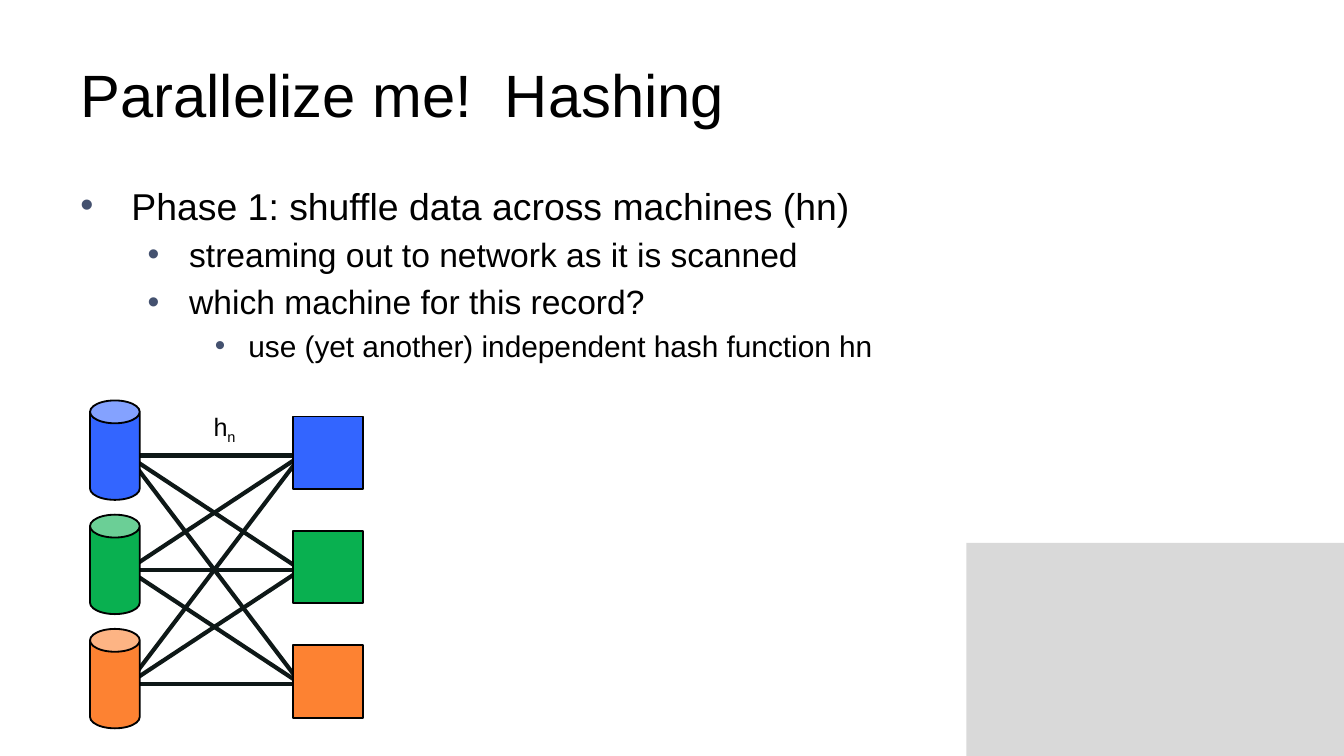
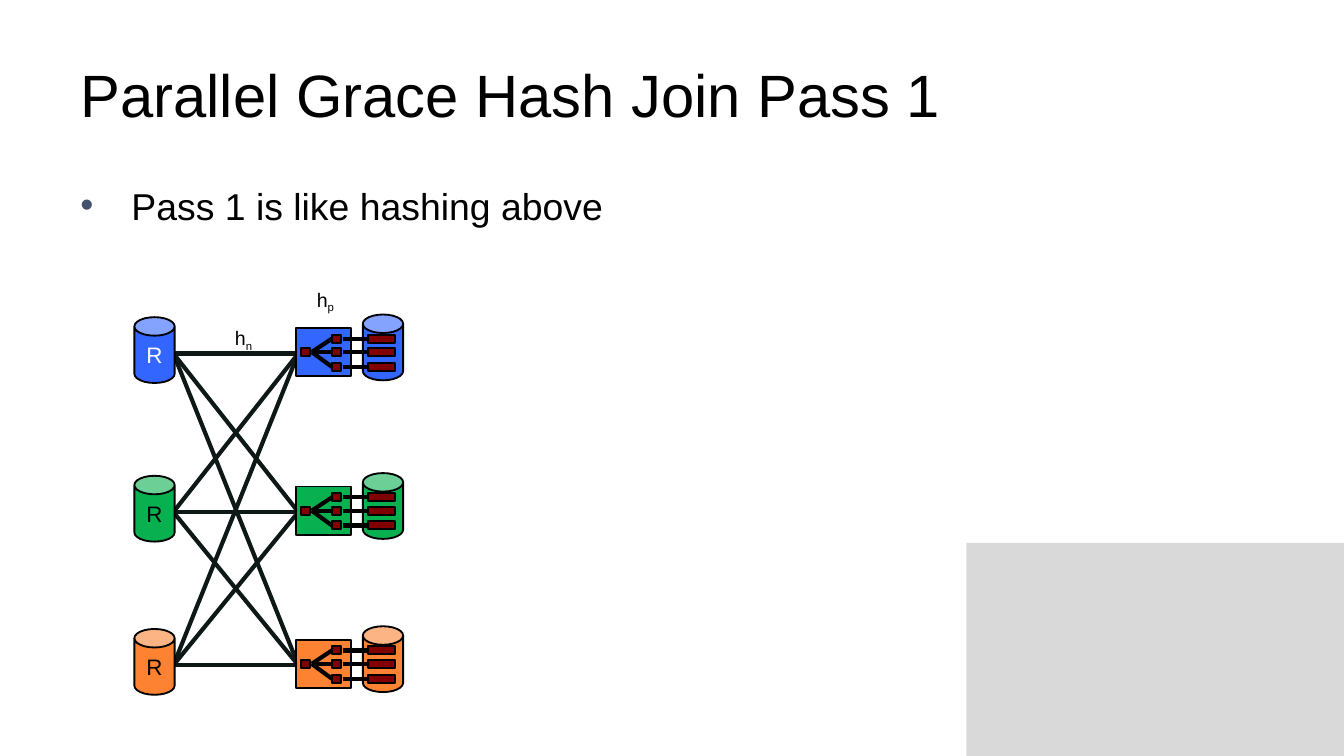
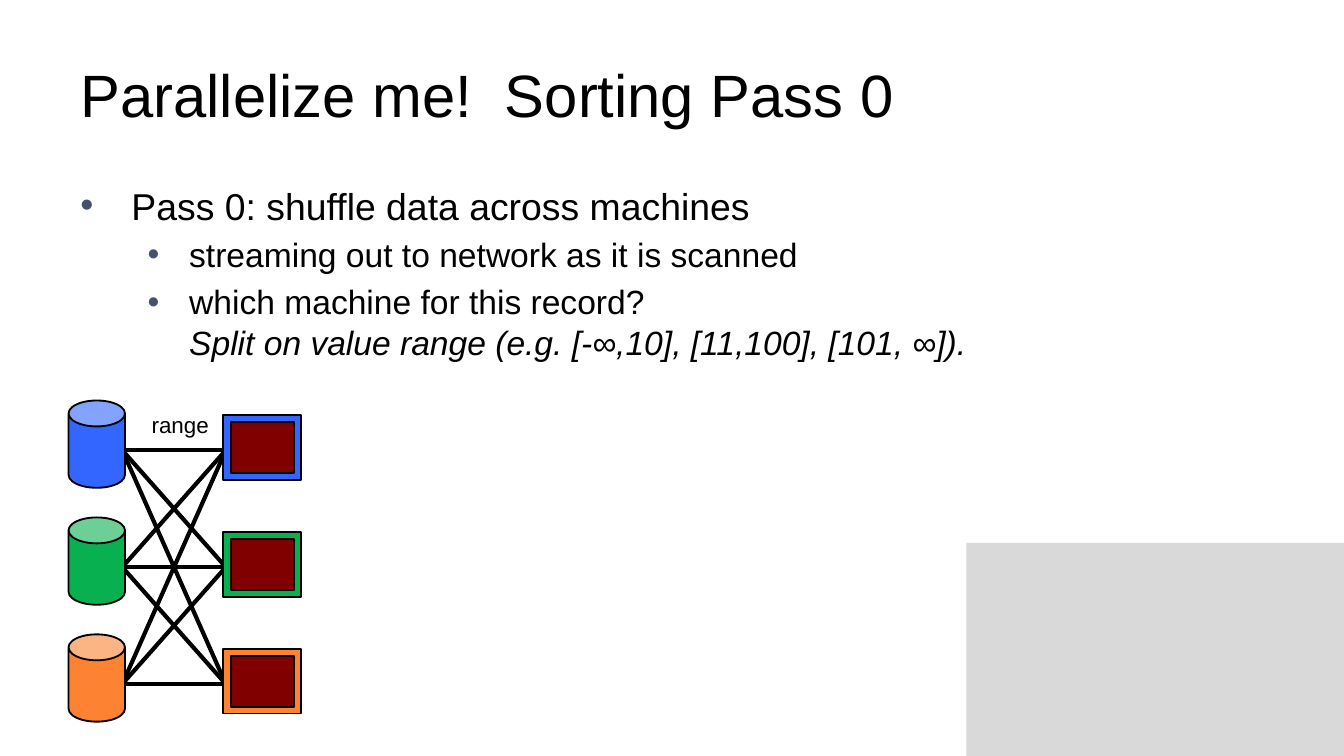
"""Build three slides on parallel hashing, hash join and sorting."""
from itertools import product

from lxml import etree
from pptx import Presentation
from pptx import util as u
from pptx.dml.color import RGBColor
from pptx.enum import shapes, text
from pptx.oxml import ns

BLACK = RGBColor(0x00, 0x00, 0x00)
WHITE = RGBColor(0xFF, 0xFF, 0xFF)
INK = RGBColor(0x0E, 0x18, 0x17)
BAND = RGBColor(0xD9, 0xD9, 0xD9)
BULLET = RGBColor(0x44, 0x51, 0x6F)
BLUE = RGBColor(0x33, 0x65, 0xFF)
GREEN = RGBColor(0x09, 0xB0, 0x50)
ORANGE = RGBColor(0xFD, 0x82, 0x32)
MAROON = RGBColor(0x80, 0x00, 0x00)
MACHINES = (BLUE, GREEN, ORANGE)
FONT = "Arial"
LEVELS = ((20, 0.38, 0.38), (18, 0.81, 0.31), (16, 1.25, 0.25))
RECT = shapes.MSO_SHAPE.RECTANGLE
CAN = shapes.MSO_SHAPE.CAN


def add_run(paragraph, words, size, color=BLACK, italic=None, baseline=None):
    """Append one styled run."""
    run = paragraph.add_run()
    run.text = words
    run.font.name = FONT
    run.font.size = u.Pt(size)
    run.font.color.rgb = color
    run.font.italic = italic
    if baseline:
        run._r.get_or_add_rPr().set("baseline", str(baseline))


def add_block(slide, kind, left, top, width, height, fill, outline=BLACK):
    """Add a flat filled shape, outlined unless outline is None."""
    block = slide.shapes.add_shape(kind, *map(u.Inches, (left, top, width, height)))
    block.shadow.inherit = False
    block.fill.solid()
    block.fill.fore_color.rgb = fill
    if outline is None:
        block.line.fill.background()
    else:
        block.line.color.rgb = outline
        block.line.width = u.Pt(1)
    return block


def add_disk(slide, left, top, width, height, fill, relation="", color=BLACK):
    """Add a storage cylinder, with the relation's name if given."""
    disk = add_block(slide, CAN, left, top, width, height, fill)
    disk.adjustments[0] = 0.46
    if relation:
        frame = disk.text_frame
        frame.word_wrap = False
        frame.vertical_anchor = text.MSO_ANCHOR.MIDDLE
        frame.paragraphs[0].alignment = text.PP_ALIGN.CENTER
        add_run(frame.paragraphs[0], relation, 12, color)


def add_wire(slide, start, end, color=BLACK):
    """Draw a straight line between two points."""
    wire = slide.shapes.add_connector(
        shapes.MSO_CONNECTOR.STRAIGHT, *map(u.Inches, (*start, *end)))
    wire.line.color.rgb = color
    wire.line.width = u.Pt(2.25)
    etree.SubElement(wire._element.spPr, ns.qn("a:effectLst"))


def add_shuffle(slide, left, right, rows, color):
    """Connect every row on the left with every row on the right."""
    for source, target in product(rows, repeat=2):
        add_wire(slide, (left, source), (right, target), color)


def add_label(slide, left, top, width, height, size, words, subscript=""):
    """Add a small unwrapped label with an optional subscript."""
    label = slide.shapes.add_textbox(*map(u.Inches, (left, top, width, height)))
    frame = label.text_frame
    frame.word_wrap = False
    frame.auto_size = text.MSO_AUTO_SIZE.SHAPE_TO_FIT_TEXT
    add_run(frame.paragraphs[0], words, size)
    if subscript:
        add_run(frame.paragraphs[0], subscript, size, baseline=-25000)


def set_bullet(paragraph, margin, hanging):
    """Give a paragraph its indent, spacing and coloured bullet."""
    props = paragraph._p.get_or_add_pPr()
    props.set("marL", str(u.Inches(margin)))
    props.set("indent", str(-u.Inches(hanging)))
    spacing = etree.SubElement(props, ns.qn("a:spcBef"))
    etree.SubElement(spacing, ns.qn("a:spcPct"), val="20000")
    color = etree.SubElement(props, ns.qn("a:buClr"))
    etree.SubElement(color, ns.qn("a:srgbClr"), val=str(BULLET))
    etree.SubElement(props, ns.qn("a:buFont"), typeface=FONT)
    etree.SubElement(props, ns.qn("a:buChar"), char="•")


def add_bullets(slide, points):
    """Fill the body with (level, words, optional italic line) points."""
    body = slide.shapes.add_textbox(*map(u.Inches, (0.5, 1.31, 9, 3.71)))
    frame = body.text_frame
    frame.word_wrap = True
    for index, (level, words, *answer) in enumerate(points):
        paragraph = frame.add_paragraph() if index else frame.paragraphs[0]
        size, margin, hanging = LEVELS[level]
        paragraph.level = level
        set_bullet(paragraph, margin, hanging)
        add_run(paragraph, words, size)
        for line in answer:
            paragraph.add_line_break()
            add_run(paragraph, line, size, italic=True)


def start_slide(deck, heading, points):
    """Add a slide with the shared corner band, title and bullets."""
    slide = deck.slides.add_slide(deck.slide_layouts[6])
    add_block(slide, RECT, 7.19, 4.04, 2.81, 1.59, BAND, None)
    title = slide.shapes.add_textbox(*map(u.Inches, (0.5, 0.23, 9, 0.94)))
    title.text_frame.word_wrap = True
    title.text_frame.vertical_anchor = text.MSO_ANCHOR.MIDDLE
    add_run(title.text_frame.paragraphs[0], heading, 32)
    add_bullets(slide, points)
    return slide


def add_partitioner(slide, row, fill):
    """Draw a machine that hashes its input into three disk partitions."""
    add_disk(slide, 2.7, row - 0.29, 0.3, 0.49, fill)
    add_block(slide, RECT, 2.2, row - 0.19, 0.41, 0.36, fill)
    root = row - 0.01
    add_block(slide, RECT, 2.24, root - 0.03, 0.07, 0.06, MAROON)
    for branch in (row - 0.11, root, row + 0.1):
        add_block(slide, RECT, 2.74, branch - 0.03, 0.2, 0.06, MAROON)
        add_block(slide, RECT, 2.47, branch - 0.03, 0.07, 0.06, MAROON)
        add_wire(slide, (2.47, branch), (2.32, root))
        add_wire(slide, (2.55, branch), (2.74, branch))


def build_hashing(deck):
    """Build the slide on the hashing shuffle."""
    slide = start_slide(deck, "Parallelize me!  Hashing", (
        (0, "Phase 1: shuffle data across machines (hn)"),
        (1, "streaming out to network as it is scanned"),
        (1, "which machine for this record?"),
        (2, "use (yet another) independent hash function hn")))
    rows = [3.39 + 0.85 * i for i in range(3)]
    add_shuffle(slide, 0.95, 2.24, rows, INK)
    add_label(slide, 1.49, 3.01, 0.38, 0.33, 13.5, "h", "n")
    for row, fill in zip(rows, MACHINES):
        add_block(slide, RECT, 2.18, row - 0.29, 0.52, 0.54, fill)
        add_disk(slide, 0.67, row - 0.41, 0.37, 0.74, fill)


def build_hash_join(deck):
    """Build the slide on the first pass of the hash join."""
    slide = start_slide(deck, "Parallel Grace Hash Join Pass 1",
                        ((0, "Pass 1 is like hashing above"),))
    rows = (2.63, 3.81, 4.95)
    add_shuffle(slide, 1.29, 2.22, rows, INK)
    add_label(slide, 2.26, 2.09, 0.43, 0.3, 10.5, "h", "p")
    for row, fill, color in zip(rows, MACHINES, (WHITE, BLACK, BLACK)):
        add_disk(slide, 1, row - 0.27, 0.3, 0.49, fill, "R", color)
        add_partitioner(slide, row, fill)
    add_label(slide, 1.65, 2.38, 0.43, 0.3, 10.5, "h", "n")


def build_sorting(deck):
    """Build the slide on the sorting shuffle."""
    slide = start_slide(deck, "Parallelize me!  Sorting Pass 0", (
        (0, "Pass 0: shuffle data across machines"),
        (1, "streaming out to network as it is scanned"),
        (1, "which machine for this record? ",
         "Split on value range (e.g. [-∞,10], [11,100], [101, ∞]).")))
    rows = [3.35 + 0.87 * i for i in range(3)]
    add_shuffle(slide, 0.91, 1.68, rows, BLACK)
    add_label(slide, 1.03, 3.01, 0.63, 0.3, 12, "range")
    for row, fill in zip(rows, MACHINES):
        add_disk(slide, 0.51, row - 0.37, 0.42, 0.65, fill)
        add_block(slide, RECT, 1.66, row - 0.26, 0.58, 0.48, fill)
        add_block(slide, RECT, 1.72, row - 0.21, 0.47, 0.38, MAROON)


def main():
    """Build and save the deck."""
    deck = Presentation()
    deck.slide_width = u.Inches(10)
    deck.slide_height = u.Inches(10 * 9 / 16)
    build_hashing(deck)
    build_hash_join(deck)
    build_sorting(deck)
    deck.save("out.pptx")


if __name__ == "__main__":
    main()
